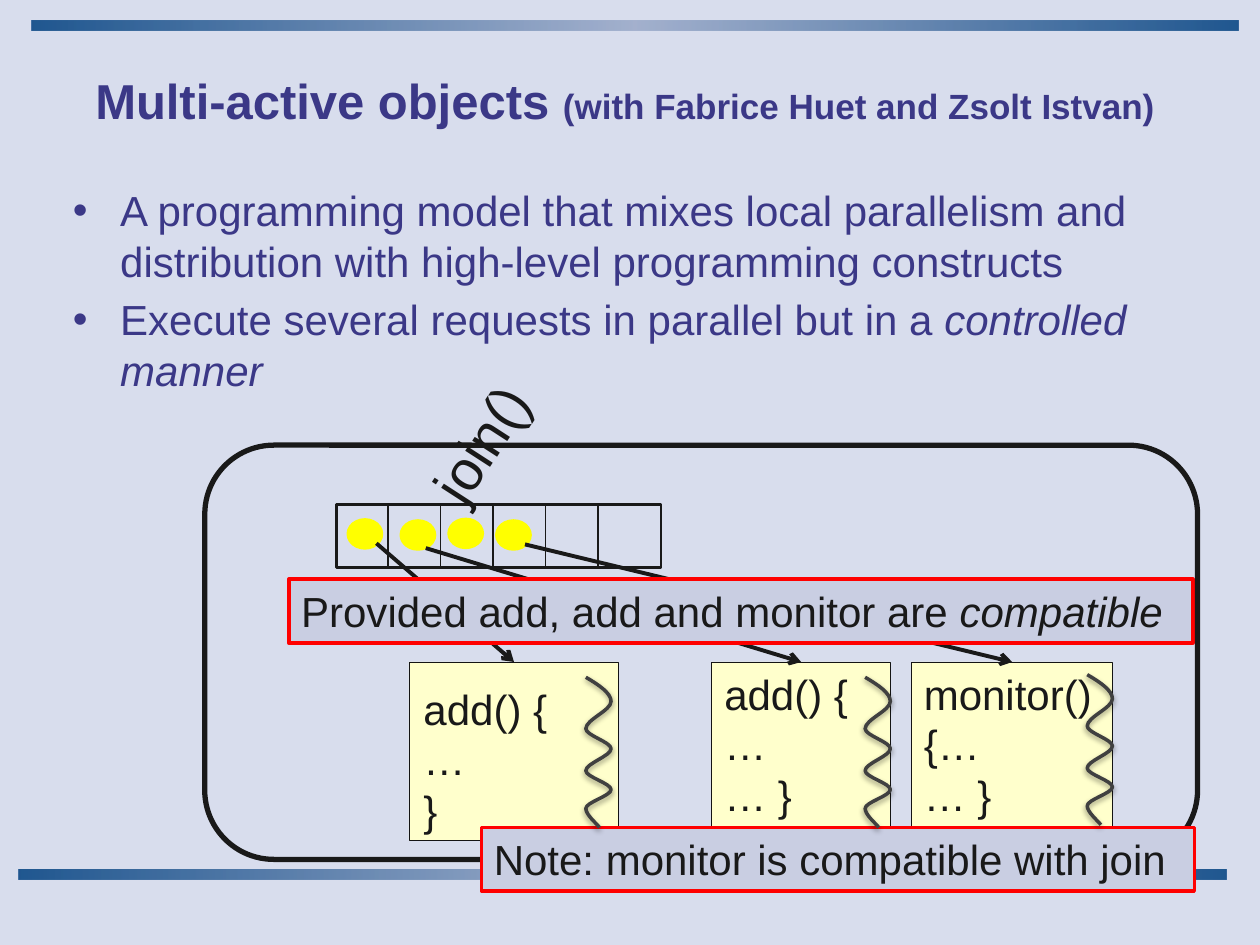
import itertools

import pptx
import pptx.util
from lxml import etree
from pptx.dml.color import RGBColor
from pptx.enum.shapes import MSO_CONNECTOR, MSO_SHAPE
from pptx.enum.text import MSO_ANCHOR, MSO_AUTO_SIZE, PP_ALIGN
from pptx.oxml import parse_xml
from pptx.oxml.ns import nsdecls, qn

BACKGROUND = RGBColor(0xD8, 0xDD, 0xED)
INDIGO = RGBColor(0x3B, 0x38, 0x87)
INK = RGBColor(0x19, 0x19, 0x19)
BOX_LINE = RGBColor(0x14, 0x14, 0x14)
CREAM = RGBColor(0xFF, 0xFF, 0xCC)
YELLOW = RGBColor(0xFF, 0xFF, 0x00)
LAVENDER = RGBColor(0xC9, 0xCE, 0xE2)
RED = RGBColor(0xFF, 0x00, 0x00)
THREAD = RGBColor(0x40, 0x40, 0x40)

prs = pptx.Presentation()
prs.slide_width = pptx.util.Inches(10)
prs.slide_height = pptx.util.Inches(7.5)
UNIT = prs.slide_width / 120  # grid of 120 columns by 90 rows


def grid(*values):
    return [pptx.util.Emu(round(v * UNIT)) for v in values]


def add_box(kind, area, fill=None, line=None, width=1, lines=(), size=24):
    """Add a shape, or a text box if kind is None; lines holds paragraphs of (text, italic) runs."""
    if kind is None:
        sp = s.shapes.add_textbox(*grid(*area))
    else:
        sp = s.shapes.add_shape(kind, *grid(*area))
        sp.shadow.inherit = False
        if fill is None:
            sp.fill.background()
        else:
            sp.fill.solid()
            sp.fill.fore_color.rgb = fill
        if line is None:
            sp.line.fill.background()
        else:
            sp.line.color.rgb = line
            sp.line.width = pptx.util.Pt(width)
    tf = sp.text_frame
    tf.vertical_anchor = MSO_ANCHOR.TOP
    for i, runs in enumerate(lines):
        p = tf.add_paragraph() if i else tf.paragraphs[0]
        p.alignment = PP_ALIGN.LEFT
        p.font.name, p.font.size = "Arial", pptx.util.Pt(size)
        p.font.color.rgb = INK
        for text, italic in runs:
            r = p.add_run()
            r.text = text
            if italic:
                r.font.italic = True
    return sp


s = prs.slides.add_slide(prs.slide_layouts[1])
s.background.fill.solid()
s.background.fill.fore_color.rgb = BACKGROUND

# Gradient bars
for x, y in [(3, 1.95), (1.8, 82.8)]:
    sp = add_box(MSO_SHAPE.RECTANGLE, (x, y, 115, 0.95))
    stops = "".join(
        f'<a:gs pos="{pos}"><a:srgbClr val="{color}"><a:alpha val="85000"/></a:srgbClr></a:gs>'
        for pos, color in [(0, "004080"), (50000, "9BAAC9"), (100000, "004080")])
    fill = parse_xml(f'<a:gradFill {nsdecls("a")}><a:gsLst>{stops}</a:gsLst>'
                     '<a:lin ang="0" scaled="0"/></a:gradFill>')
    old = sp._element.spPr.find(qn("a:noFill"))
    old.getparent().replace(old, fill)

# Title and bullets
title, body = s.placeholders
title.left, title.top, title.width, title.height = grid(5.3, 4, 108.5, 11)
body.left, body.top, body.width, body.height = grid(5.75, 17, 108.25, 66)
content = [
    (title, [[("Multi-active objects ", 28, False),
              ("(with Fabrice Huet and Zsolt Istvan)", 20, False)]]),
    (body, [[("A programming model that mixes local parallelism and distribution "
              "with high-level programming constructs", 24, False)],
            [("Execute several requests in parallel but in a ", 24, False),
             ("controlled manner", 24, True)]]),
]
for sp, paragraphs in content:
    tf = sp.text_frame
    tf.auto_size = MSO_AUTO_SIZE.NONE
    for i, runs in enumerate(paragraphs):
        p = tf.add_paragraph() if i else tf.paragraphs[0]
        p.font.name, p.font.bold = "Arial", sp is title
        p.font.color.rgb = INDIGO
        for text, size, italic in runs:
            r = p.add_run()
            r.text = text
            r.font.size = pptx.util.Pt(size)
            r.font.italic = italic

# Request queue
add_box(MSO_SHAPE.RECTANGLE, (32.05, 48.05, 30.9, 6), line=INK, width=1.5)
links = []
for column in range(5):
    x = 36.95 + 5 * column
    c = s.shapes.add_connector(MSO_CONNECTOR.STRAIGHT, *grid(x, 48, x, 54))
    c.line.width = pptx.util.Pt(0.75)
    links.append(c)
for x, y in [(33.25, 49.6), (38.3, 49.7), (42.85, 49.55), (47.4, 49.7)]:
    add_box(MSO_SHAPE.OVAL, (x, y, 3, 2.5), YELLOW, YELLOW, 3)

# Running methods, each linked from its request
methods = [
    (38.95, 20, [], (35.85, 51.75)),
    (67.8, 17, ["add() {", "…", "… }"], (40.55, 52.2)),
    (86.8, 19.2, ["monitor(){…", "… }"], (50, 51.85)),
]
for x, width, code, start in methods:
    sp = add_box(MSO_SHAPE.RECTANGLE, (x, 63.05, width, 17), CREAM, BOX_LINE, 0.5,
                 [[(text, False)] for text in code])
    c = s.shapes.add_connector(MSO_CONNECTOR.STRAIGHT, *grid(*start, x + width / 2, 63.05))
    c.end_connect(sp, 0)
    c.line.width = pptx.util.Pt(2.25)
    etree.SubElement(c.line._get_or_add_ln(), qn("a:tailEnd"), type="arrow")
    links.append(c)
for c in links:
    c.line.color.rgb = INK
    etree.SubElement(c._element.spPr, qn("a:effectLst"))

# Labels, notes and the object outline
PROVIDED = [[("Provided add, add and monitor are ", False), ("compatible", True)]]
NOTE = [[("Note: monitor is compatible with join", False)]]
add_code = add_box(None, (39.15, 64.5, 14.3, 15.7),
                   lines=[[(text, False)] for text in ("add() {", "…", "}")])
provided = add_box(MSO_SHAPE.RECTANGLE, (27.5, 55.15, 86.1, 6.1), LAVENDER, RED, 2, PROVIDED)
join = add_box(None, (38.5, 38.1, 14.8, 7.7), lines=[[("join()", False)]], size=32)
join.rotation = 302.9
add_box(MSO_SHAPE.ROUNDED_RECTANGLE, (19.5, 42.4, 94.55, 39.45), line=INK, width=3)
note = add_box(MSO_SHAPE.RECTANGLE, (45.85, 78.8, 67.9, 6.05), LAVENDER, RED, 2, NOTE)
for sp in (add_code, provided, join, note):
    sp.text_frame.word_wrap = False

# Wavy threads: three points for each cubic curve between turning points
TURNS = [(2.4, 2.3), (0, 4.9), (2.4, 6.8), (0, 8.9), (2.4, 10.7), (0, 12.5)]
wave = [(0, 0), (1.2, 0.7), (2.4, 1.5), TURNS[0]]
for (x0, y0), (x1, y1) in itertools.pairwise(TURNS):
    third = (y1 - y0) / 3
    wave += [(x0, y0 + third), (x1, y1 - third), (x1, y1)]
wave += [(0, 13.1), (1, 13.9), (1.3, 14.3)]
for left, top in [(55.8, 64.5), (82.4, 64.5), (103.55, 64.25)]:
    points = [grid(left + x, top + y) for x, y in wave]
    builder = s.shapes.build_freeform(*points[0])
    builder.add_line_segments(points[1:], close=False)
    sp = builder.convert_to_shape()
    segments = list(sp._element.iter(qn("a:lnTo")))
    for i in range(0, len(segments), 3):
        curve = etree.Element(qn("a:cubicBezTo"))
        segments[i].addprevious(curve)
        for segment in segments[i:i + 3]:
            curve.append(segment[0])
            segment.getparent().remove(segment)
    sp.fill.background()
    sp.line.color.rgb = THREAD
    sp.line.width = pptx.util.Pt(2)
    sp._element.spPr.append(parse_xml(
        f'<a:effectLst {nsdecls("a")}><a:outerShdw blurRad="40000" dist="20000" '
        'dir="5400000" rotWithShape="0"><a:srgbClr val="000000"><a:alpha val="38000"/>'
        '</a:srgbClr></a:outerShdw></a:effectLst>'))

prs.save("out.pptx")
